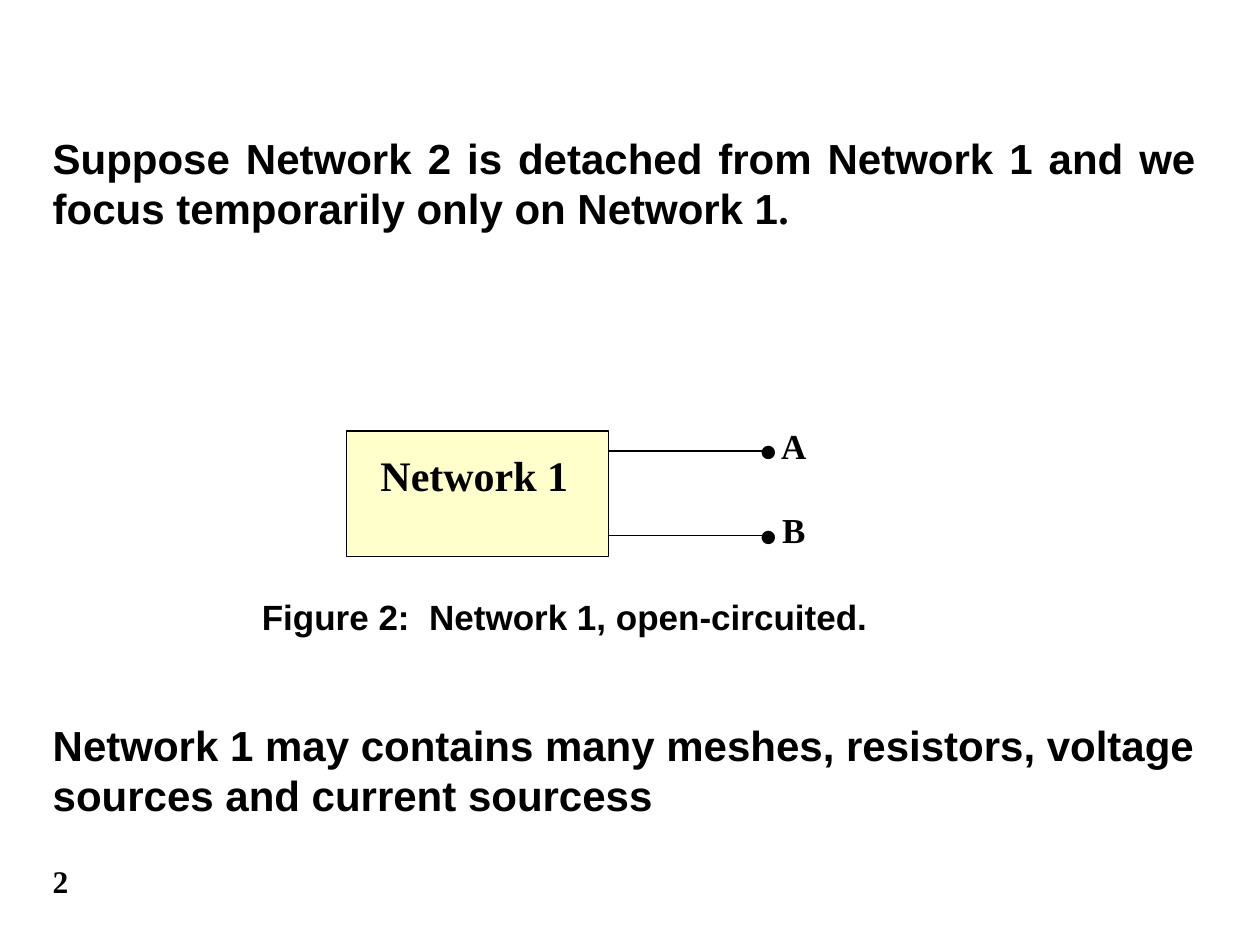
"""Build the slide on Network 1 with its terminals left open."""
from lxml import etree
from pptx import Presentation
from pptx.dml.color import RGBColor
from pptx.enum.shapes import MSO_CONNECTOR, MSO_SHAPE
from pptx.enum.text import MSO_ANCHOR, PP_ALIGN
from pptx.oxml.ns import qn
from pptx.util import Inches, Pt

LINE, RECT = MSO_CONNECTOR.STRAIGHT, MSO_SHAPE.RECTANGLE
LEFT, MID, JUST = PP_ALIGN.LEFT, PP_ALIGN.CENTER, PP_ALIGN.JUSTIFY
TOP = MSO_ANCHOR.TOP
SANS, SERIF = "Arial", "Times New Roman"
INK, CREAM = "000000", "FFFFCC"
WIDE, HIGH = 10, 7.5
EDGE = 0.32
BOX = (2.75, 3.42, 2.08, 1)
WIRE = 1.25

INTRO = [
    ("Suppose Network 2 is detached from Network 1 and we focus "
     "temporarily only on Network 1", SANS),
    (".", SERIF),
]
NOTE = [("Network 1 may contains many meshes, resistors, voltage "
         "sources and current sourcess", SANS)]
LABEL = [("Network 1", SERIF)]
LEGEND = [("Figure 2:  Network 1, open-circuited.", SANS)]
PAGE = [("2", SERIF)]
ENDS = [("A", 3.58), ("B", 4.25)]

TEXTS = [
    (INTRO, (EDGE, 1, 9.27, 0.91), 24, JUST, True),
    (LABEL, (BOX[0], BOX[1] + 0.1, 2.03, 0.5), 24, MID, True),
    (LEGEND, (1.98, 4.68, 5.04, 0.44), 20, LEFT, False),
    (NOTE, (EDGE, 5.66, WIDE - EDGE, 0.91), 24, LEFT, True),
    (PAGE, (EDGE, 6.79, 0.33, 0.4), 18, LEFT, False),
]


def hue(code):
    """Turn a hex string into a colour."""
    return RGBColor.from_string(code)


def rule(shape):
    """Give a shape its thin dark line."""
    shape.line.color.rgb = hue(INK)
    shape.line.width = Pt(0.75)


def write(slide, runs, at, size, align, wrap, bold=True):
    """Add a text box made of (text, font) runs."""
    frame = slide.shapes.add_textbox(*map(Inches, at)).text_frame
    frame.word_wrap = wrap
    frame.vertical_anchor = TOP
    para = frame.paragraphs[0]
    para.alignment = align
    for text, face in runs:
        run = para.add_run()
        run.text = text
        run.font.name = face
        run.font.size = Pt(size)
        run.font.bold = bold
        run.font.color.rgb = hue(INK)


def block(slide):
    """Draw the network as a filled box."""
    box = slide.shapes.add_shape(RECT, *map(Inches, BOX))
    box.shadow.inherit = False
    box.fill.solid()
    box.fill.fore_color.rgb = hue(CREAM)
    rule(box)


def lead(slide, name, y):
    """Draw one wire with its dot and its letter."""
    start = BOX[0] + BOX[2]
    end = start + WIRE
    wire = slide.shapes.add_connector(
        LINE, *map(Inches, (start, y, end, y)))
    rule(wire)
    etree.SubElement(wire._element.spPr, qn("a:effectLst"))
    write(slide, [("•", SERIF)], (end - 0.16, y - 0.33, 0.36, 0.63),
          32, MID, False, False)
    write(slide, [(name, SERIF)], (end + 0.02, y - 0.26, 0.4, 0.43),
          20, MID, False)


def main():
    """Build and save the slide."""
    deck = Presentation()
    deck.slide_width, deck.slide_height = Inches(WIDE), Inches(HIGH)
    slide = deck.slides.add_slide(deck.slide_layouts[6])
    block(slide)
    for name, y in ENDS:
        lead(slide, name, y)
    for item in TEXTS:
        write(slide, *item)
    deck.save("out.pptx")


if __name__ == "__main__":
    main()
